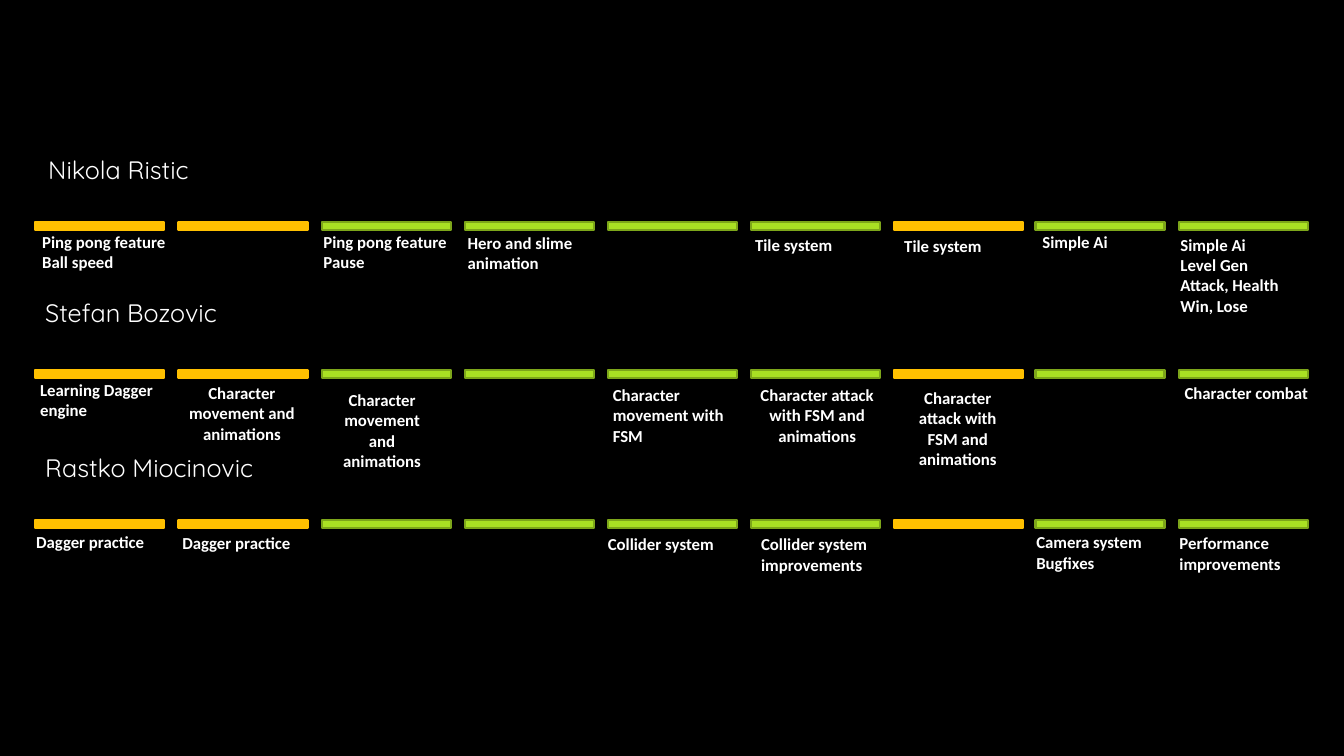
from typing import NamedTuple

from pptx import Presentation
from pptx.dml.color import RGBColor
from pptx.enum.shapes import MSO_SHAPE
from pptx.enum.text import MSO_AUTO_SIZE, PP_ALIGN
from pptx.util import Inches, Pt

BLACK = RGBColor(0x00, 0x00, 0x00)
WHITE = RGBColor(0xFF, 0xFF, 0xFF)
AMBER = RGBColor(0xFF, 0xC0, 0x00)
GREEN = RGBColor(0xA9, 0xE0, 0x23)
DARK_GREEN = RGBColor(0x7D, 0xA6, 0x1A)

# Timeline grid: nine periods, the last two set slightly closer
PERIODS = 9
AMBER_PERIODS = {0, 1, 6}
BAR_LEFT, BAR_PITCH = 0.35, 1.42
BAR_WIDTH, BAR_HEIGHT = 1.28, 0.08
LATE_PERIOD, LATE_SHIFT = 7, -0.02


class Label(NamedTuple):
    text: str
    left: float
    top: float
    width: float = 1.46
    height: float = 0.3
    align: PP_ALIGN = PP_ALIGN.LEFT


class Member(NamedTuple):
    name: Label
    bar_top: float
    tasks: list[Label]


MEMBERS = [
    Member(Label("Nikola Ristic", 0.38, 1.48, 2.5, 0.4), 2.2, [
        Label("Ping pong feature\nBall speed", 0.32, 2.25, height=0.5),
        Label("Ping pong feature\nPause", 3.11, 2.25, height=0.5),
        Label("Hero and slime animation", 4.54, 2.26, height=0.5),
        Label("Tile system", 7.39, 2.28, 1.57),
        Label("Tile system", 8.87, 2.29, 1.57),
        Label("Simple Ai", 10.24, 2.25),
        Label("Simple Ai\nLevel Gen\nAttack, Health\nWin, Lose", 11.61, 2.28, 1.56, 0.91),
    ]),
    Member(Label("Stefan Bozovic", 0.35, 2.9, 2.5, 0.4), 3.67, [
        Label("Learning Dagger engine", 0.3, 3.72, height=0.5),
        Label("Character movement and animations", 1.75, 3.75, 1.3, 0.71, PP_ALIGN.CENTER),
        Label("Character movement and animations", 3.19, 3.82, 1.2, 0.91, PP_ALIGN.CENTER),
        Label("Character movement with FSM", 5.98, 3.77, height=0.71),
        Label("Character attack with FSM and animations", 7.44, 3.77, 1.33, 0.71, PP_ALIGN.CENTER),
        Label("Character attack with FSM and animations", 8.88, 3.8, 1.24, 0.91, PP_ALIGN.CENTER),
        Label("Character combat", 11.65, 3.75, 1.56),
    ]),
    Member(Label("Rastko Miocinovic", 0.35, 4.44, 2.73, 0.4), 5.16, [
        Label("Dagger practice", 0.26, 5.23),
        Label("Dagger practice", 1.71, 5.24),
        Label("Collider system", 5.93, 5.25),
        Label("Collider system improvements", 7.45, 5.25, height=0.5),
        Label("Camera system\nBugfixes", 10.18, 5.23, height=0.5),
        Label("Performance improvements", 11.6, 5.24, height=0.5),
    ]),
]


def add_bar(s, period: int, top: float) -> None:
    left = BAR_LEFT + period * BAR_PITCH
    if period >= LATE_PERIOD:
        left += LATE_SHIFT
    sp = s.shapes.add_shape(MSO_SHAPE.RECTANGLE, Inches(left), Inches(top),
                            Inches(BAR_WIDTH), Inches(BAR_HEIGHT))
    is_amber = period in AMBER_PERIODS
    sp.shadow.inherit = False
    sp.fill.solid()
    sp.fill.fore_color.rgb = AMBER if is_amber else GREEN
    sp.line.color.rgb = AMBER if is_amber else DARK_GREEN
    sp.line.width = Pt(1.5)


def add_label(s, label: Label, font: str, size: int, bold: bool) -> None:
    sp = s.shapes.add_textbox(Inches(label.left), Inches(label.top),
                              Inches(label.width), Inches(label.height))
    tf = sp.text_frame
    tf.word_wrap = True
    tf.auto_size = MSO_AUTO_SIZE.SHAPE_TO_FIT_TEXT
    tf.text = label.text
    for p in tf.paragraphs:
        p.alignment = label.align
        for r in p.runs:
            r.font.name = font
            r.font.size = Pt(size)
            r.font.bold = bold
            r.font.color.rgb = WHITE


def main() -> None:
    prs = Presentation()
    prs.slide_width, prs.slide_height = Inches(13.33), Inches(7.5)
    s = prs.slides.add_slide(prs.slide_layouts[6])
    s.background.fill.solid()
    s.background.fill.fore_color.rgb = BLACK

    # One timeline per team member: bars, name, tasks
    for member in MEMBERS:
        for period in range(PERIODS):
            add_bar(s, period, member.bar_top)
        add_label(s, member.name, "Quicksand", 18, bold=False)
        for task in member.tasks:
            add_label(s, task, "Calibri", 12, bold=True)

    prs.save("out.pptx")


if __name__ == "__main__":
    main()
